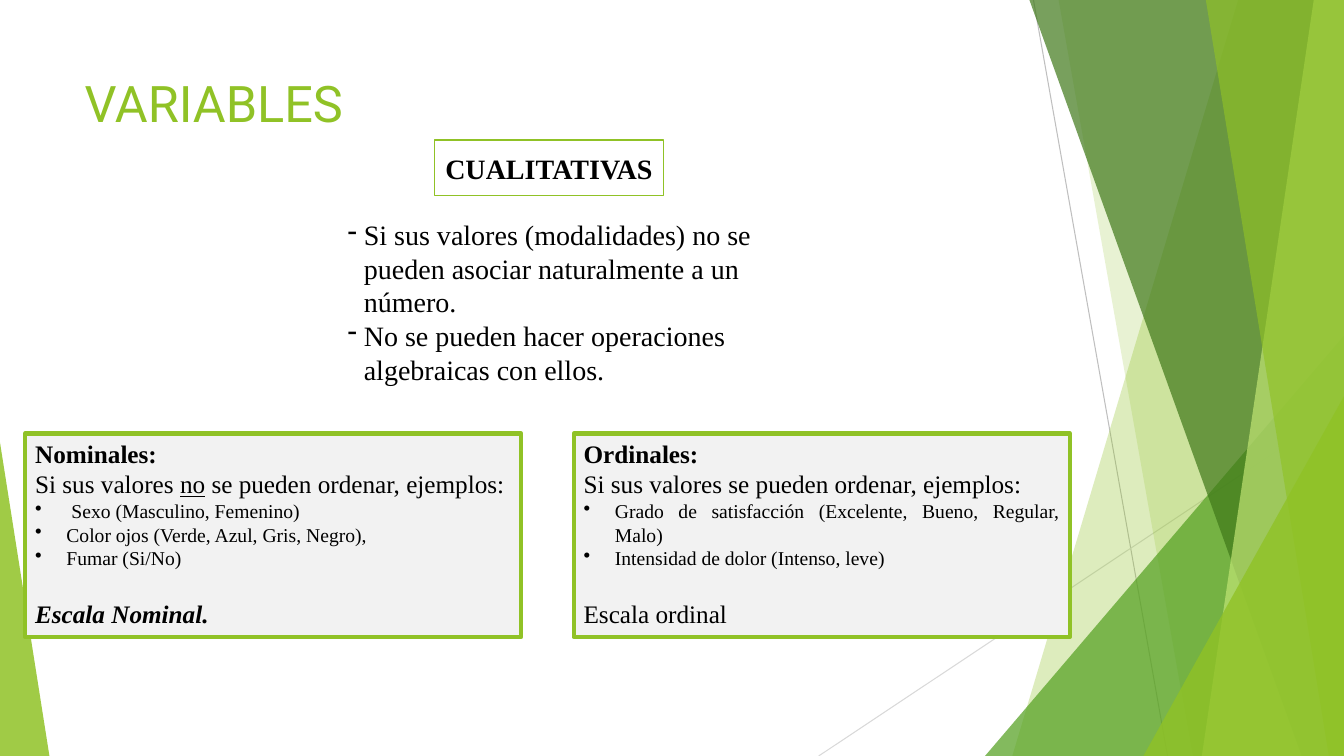
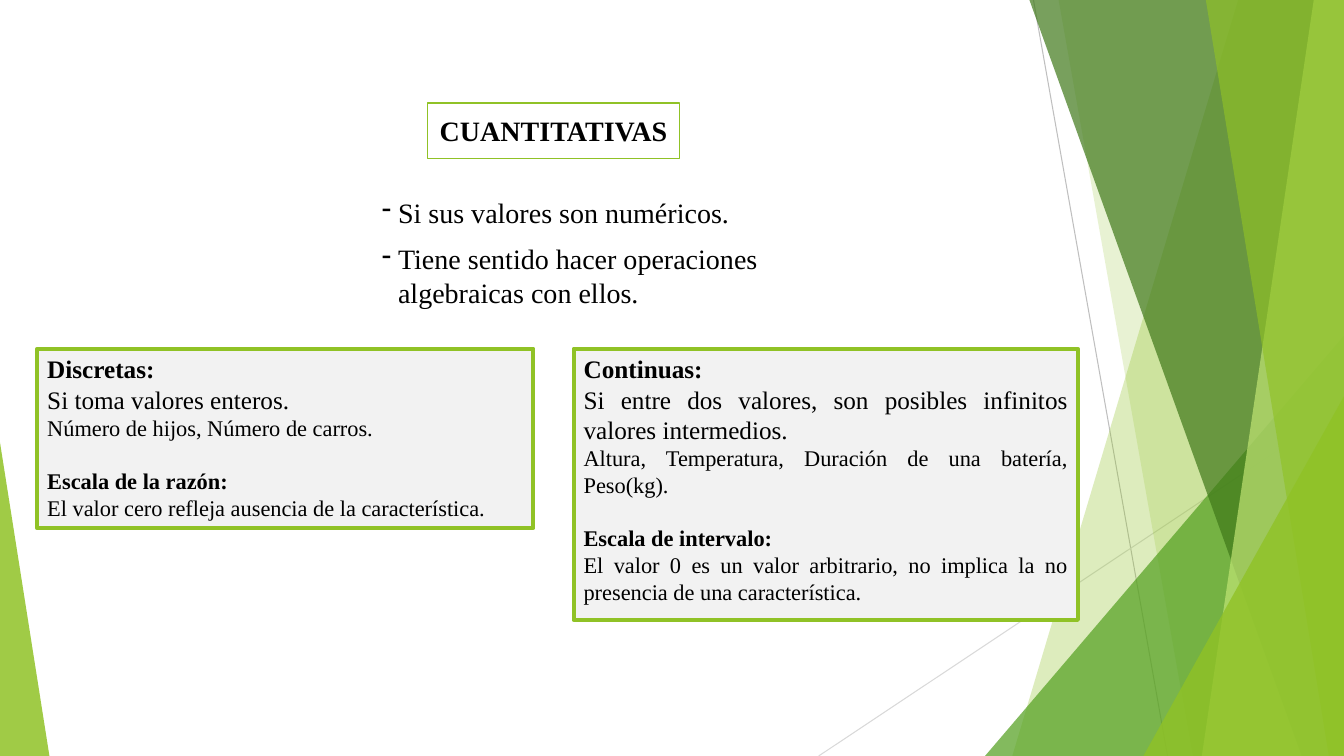
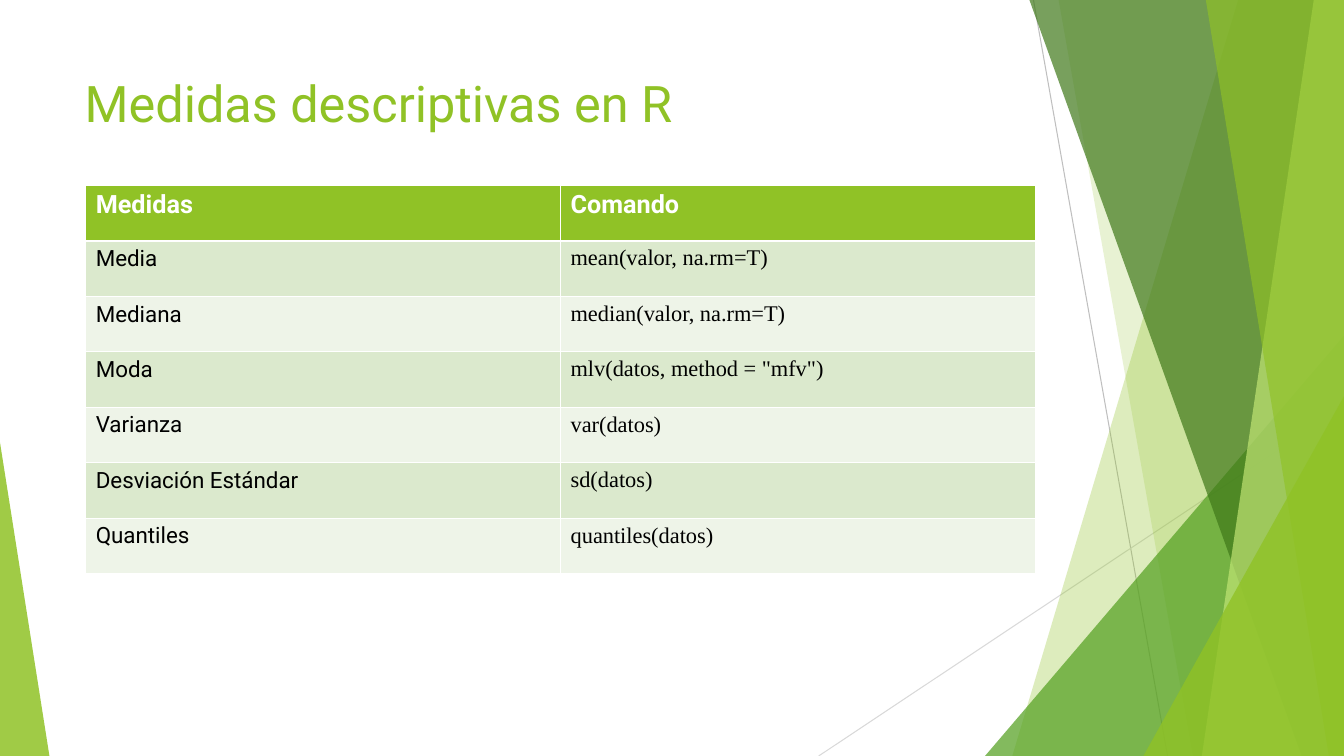
from dataclasses import asdict, dataclass

from pptx import Presentation
from pptx.dml.color import RGBColor
from pptx.enum import shapes as s, text as t
from pptx.oxml.ns import qn
from pptx.oxml.xmlchemy import OxmlElement
from pptx.util import Inches, Pt

LIME = RGBColor(0x90, 0xC2, 0x26)
LEAF = RGBColor(0x54, 0xA0, 0x21)
MOSS = RGBColor(0x3F, 0x78, 0x19)
PALE = RGBColor(0xC0, 0xE4, 0x74)
BLACK = RGBColor(0, 0, 0)
WHITE = RGBColor(0xFF, 0xFF, 0xFF)
SMOKE = RGBColor(0xF2, 0xF2, 0xF2)
SILVER = RGBColor(0xBF, 0xBF, 0xBF)
MIST = RGBColor(0xD9, 0xD9, 0xD9)
BANDS = (RGBColor(0xDB, 0xE9, 0xCD), RGBColor(0xEE, 0xF4, 0xE8))

SERIF = "Times New Roman"
SANS = "Roboto"
WIDE, HIGH = 13.33, 7.5
LEFT, MID, JUST = t.PP_ALIGN.LEFT, t.PP_ALIGN.CENTER, t.PP_ALIGN.JUSTIFY
TITLED, BLANK = 5, 6


@dataclass
class Band:
    """A band from the top to the bottom edge, closed by the right side."""
    top: float
    foot: float
    color: RGBColor
    alpha: int


@dataclass
class Wedge:
    left: float
    top: float
    width: float
    apex: float
    color: RGBColor
    alpha: int


@dataclass
class Ray:
    start: tuple[float, float]
    end: tuple[float, float]
    color: RGBColor


@dataclass
class Line:
    text: str
    size: float = 18
    bold: bool = False
    ital: bool = False
    under: str = ""
    mark: str = ""
    hang: float = 0
    gap: float = 0
    align: t.PP_ALIGN = JUST


@dataclass
class Box:
    left: float
    top: float
    width: float
    height: float
    lines: list[Line]


DECOR = (
    Ray((10.25, 0), (11.58, HIGH), SILVER),
    Ray((WIDE, 4.03), (8.12, HIGH), MIST),
    Band(12.28, 10.04, LIME, 30),
    Band(10.5, 11.83, LIME, 20),
    Wedge(9.77, 3.33, 3.56, 1, LEAF, 72),
    Band(10.21, 12.91, MOSS, 70),
    Band(13.03, 11.92, PALE, 70),
    Band(11.96, 13.18, LIME, 65),
    Wedge(11.34, 3.93, 1.99, 1, LIME, 80),
    Wedge(0, 4.39, 0.49, 0, LIME, 85),
)


def write(frame, text: str, *, size: float, font: str = SERIF,
          color: RGBColor = BLACK, bold: bool = False, ital: bool = False,
          under: str = "", mark: str = "", hang: float = 0, gap: float = 0,
          align: t.PP_ALIGN = LEFT) -> None:
    """Add a paragraph; under is the word to underline, mark the bullet."""
    para = frame.paragraphs[0] if not frame.text else frame.add_paragraph()
    para.alignment = align
    if gap:
        para.space_before = Pt(gap)
    parts = text.partition(under) if under else (text,)
    for part in parts:
        run = para.add_run()
        run.text = part
        look = run.font
        look.name, look.size, look.bold, look.italic = font, Pt(size), bold, ital
        look.color.rgb = color
        if under:
            look.underline = part == under
    if mark:
        props = para._p.get_or_add_pPr()
        props.set("marL", str(Inches(hang)))
        props.set("indent", str(-Inches(hang)))
        bullet = OxmlElement("a:buChar")
        bullet.set("char", mark)
        props.append(bullet)


def tint(shape, color: RGBColor, alpha: int) -> None:
    """Fill a shape with a see-through colour and no outline."""
    shape.shadow.inherit = False
    shape.fill.solid()
    shape.fill.fore_color.rgb = color
    shape.line.fill.background()
    veil = OxmlElement("a:alpha")
    veil.set("val", str(alpha * 1000))
    shape.element.find(".//" + qn("a:srgbClr")).append(veil)


def draw_part(shapes, part: Band | Wedge | Ray) -> None:
    if isinstance(part, Ray):
        ends = [Inches(v) for v in part.start + part.end]
        ray = shapes.add_connector(s.MSO_CONNECTOR.STRAIGHT, *ends)
        ray.line.color.rgb, ray.line.width = part.color, Pt(0.75)
        ray.element.spPr.append(OxmlElement("a:effectLst"))
        return
    if isinstance(part, Band):
        pen = shapes.build_freeform(Inches(part.top), 0)
        rest = ((WIDE, 0), (WIDE, HIGH), (part.foot, HIGH))
        pen.add_line_segments([(Inches(x), Inches(y)) for x, y in rest])
        shape = pen.convert_to_shape()
    else:
        shape = shapes.add_shape(
            s.MSO_SHAPE.ISOSCELES_TRIANGLE, Inches(part.left),
            Inches(part.top), Inches(part.width), Inches(HIGH - part.top))
        shape.adjustments[0] = part.apex
    tint(shape, part.color, part.alpha)


def dress_master(deck, slide) -> None:
    """Draw the backdrop as a group and move it to the slide master."""
    group = slide.shapes.add_group_shape()
    for part in DECOR:
        draw_part(group.shapes, part)
    for num, node in enumerate(group.element.iter(qn("p:cNvPr")), 100):
        node.set("id", str(num))
    deck.slide_master.shapes.element.insert(2, group.element)


def add_title(slide, text: str) -> None:
    title = slide.shapes.title
    title.left, title.top = Inches(0.74), Inches(0.67)
    title.width, title.height = Inches(9.4), Inches(1.44)
    frame = title.text_frame
    frame.vertical_anchor = t.MSO_ANCHOR.TOP
    write(frame, text, size=36, font=SANS, color=LIME)


def add_box(slide, box: Box, fill: RGBColor | None = None,
            edge: float = 0, anchor: t.MSO_ANCHOR = t.MSO_ANCHOR.TOP) -> None:
    """Draw a framed rectangle, or a plain text box when there is no fill."""
    at = [Inches(v) for v in (box.left, box.top, box.width, box.height)]
    if fill is None:
        shape = slide.shapes.add_textbox(*at)
    else:
        shape = slide.shapes.add_shape(s.MSO_SHAPE.RECTANGLE, *at)
        shape.shadow.inherit = False
        shape.fill.solid()
        shape.fill.fore_color.rgb = fill
        shape.line.color.rgb, shape.line.width = LIME, Pt(edge)
    frame = shape.text_frame
    frame.word_wrap = True
    frame.vertical_anchor = anchor
    for line in box.lines:
        write(frame, **asdict(line))


def add_kind(slide, tag: Box, notes: Box, cards: list[Box]) -> None:
    """Show one kind of variable: its name, its traits and its two subtypes."""
    add_box(slide, tag, WHITE, 1, t.MSO_ANCHOR.MIDDLE)
    add_box(slide, notes)
    for card in cards:
        add_box(slide, card, SMOKE, 3)


def head(text: str) -> list[Line]:
    return [Line(text, 20, bold=True, align=MID)]


def trait(text: str, gap: float = 0) -> Line:
    return Line(text, 20, mark="-", hang=0.16, gap=gap, align=LEFT)


def item(text: str, hang: float = 0.31) -> Line:
    return Line(text, 14, mark="•", hang=hang)


def add_grid(slide, rows: list[tuple[str, str]]) -> None:
    table = slide.shapes.add_table(
        len(rows), 2, Inches(0.85), Inches(1.84),
        Inches(9.42), Inches(0.55 * len(rows))).table
    for r, row in enumerate(rows):
        for c, text in enumerate(row):
            cell = table.cell(r, c)
            cell.fill.solid()
            if r == 0:
                cell.fill.fore_color.rgb = LIME
                write(cell.text_frame, text, size=18, font=SANS,
                      color=WHITE, bold=True)
            else:
                cell.fill.fore_color.rgb = BANDS[(r - 1) % 2]
                write(cell.text_frame, text, size=16,
                      font=SERIF if c else SANS)


def main() -> None:
    deck = Presentation()
    deck.slide_width, deck.slide_height = Inches(WIDE), Inches(HIGH)
    first, second, third = (
        deck.slides.add_slide(deck.slide_layouts[n])
        for n in (TITLED, BLANK, TITLED))
    dress_master(deck, first)

    add_title(first, "VARIABLES")
    add_kind(
        first,
        Box(4.31, 1.39, 2.27, 0.55, head("CUALITATIVAS")),
        Box(3.35, 2.11, 4.45, 1.78, [
            trait("Si sus valores (modalidades) no se pueden asociar "
                  "naturalmente a un número."),
            trait("No se pueden hacer operaciones algebraicas con ellos."),
        ]),
        [
            Box(0.25, 4.3, 4.92, 2.02, [
                Line("Nominales:", bold=True),
                Line("Si sus valores no se pueden ordenar, ejemplos:",
                     under="no"),
                item("Sexo (Masculino, Femenino)", 0.36),
                item("Color ojos (Verde, Azul, Gris, Negro),"),
                item("Fumar (Si/No)"),
                Line("Escala Nominal.", bold=True, ital=True, gap=20.7),
            ]),
            Box(5.69, 4.3, 4.92, 2.02, [
                Line("Ordinales:", bold=True),
                Line("Si sus valores se pueden ordenar, ejemplos:"),
                item("Grado de satisfacción (Excelente, Bueno, Regular, Malo)"),
                item("Intensidad de dolor (Intenso, leve)"),
                Line("Escala ordinal", gap=20.7),
            ]),
        ])

    add_kind(
        second,
        Box(4.24, 1.02, 2.5, 0.55, head("CUANTITATIVAS")),
        Box(3.69, 1.89, 4.3, 1.25, [
            trait("Si sus valores son numéricos."),
            trait("Tiene sentido hacer operaciones algebraicas con ellos.",
                  gap=9.2),
        ]),
        [
            Box(0.37, 3.46, 4.92, 1.78, [
                Line("Discretas:", bold=True),
                Line("Si toma valores enteros."),
                Line("Número de hijos, Número de carros.", 16),
                Line("Escala de la razón:", 16, bold=True, gap=18.4),
                Line("El valor cero refleja ausencia de la característica.", 16),
            ]),
            Box(5.69, 3.46, 5, 2.69, [
                Line("Continuas:", bold=True),
                Line("Si entre dos valores, son posibles infinitos valores "
                     "intermedios."),
                Line("Altura, Temperatura, Duración de una batería, Peso(kg).",
                     16),
                Line("Escala de intervalo:", 16, bold=True, gap=18.4),
                Line("El valor 0 es un valor arbitrario, no implica la no "
                     "presencia de una característica.", 16),
            ]),
        ])

    add_title(third, "Medidas descriptivas en R")
    add_grid(third, [
        ("Medidas", "Comando"),
        ("Media", "mean(valor, na.rm=T)"),
        ("Mediana", "median(valor, na.rm=T)"),
        ("Moda", 'mlv(datos, method = "mfv")'),
        ("Varianza", "var(datos)"),
        ("Desviación Estándar", "sd(datos)"),
        ("Quantiles", "quantiles(datos)"),
    ])
    deck.save("out.pptx")


if __name__ == "__main__":
    main()
